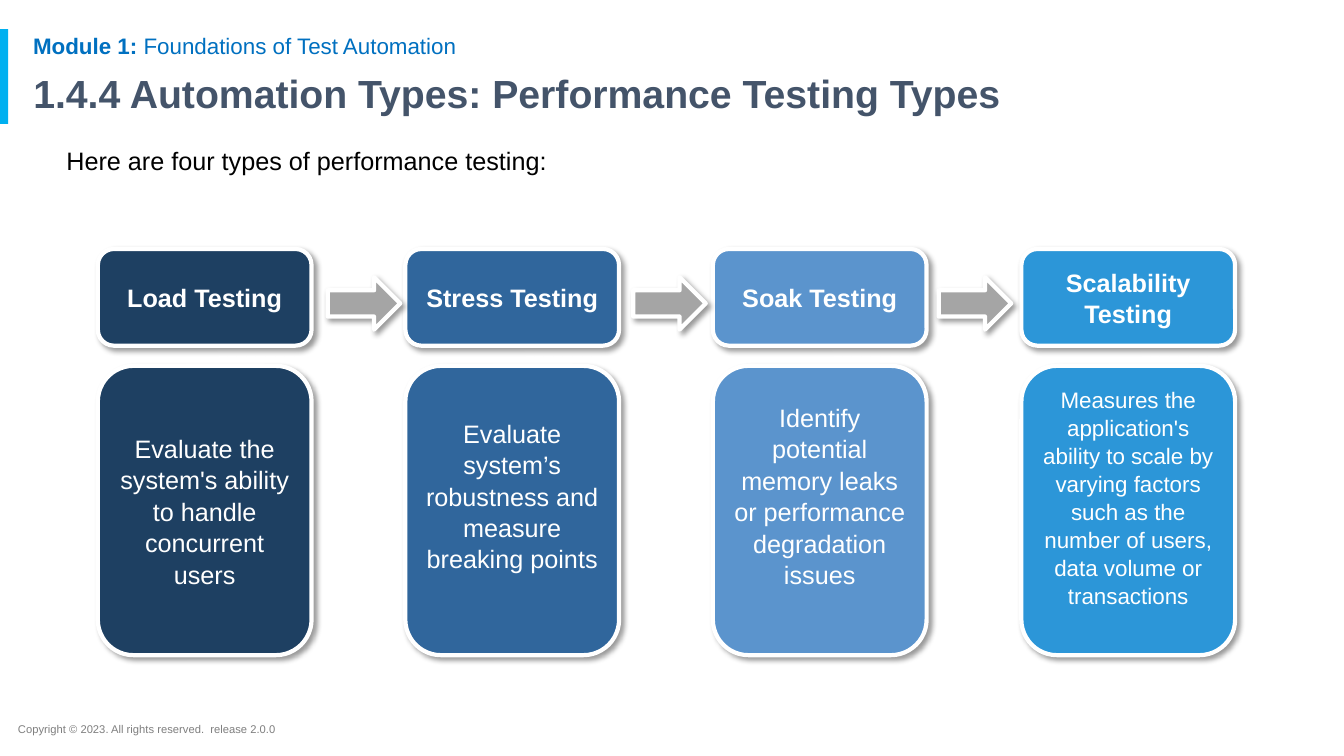
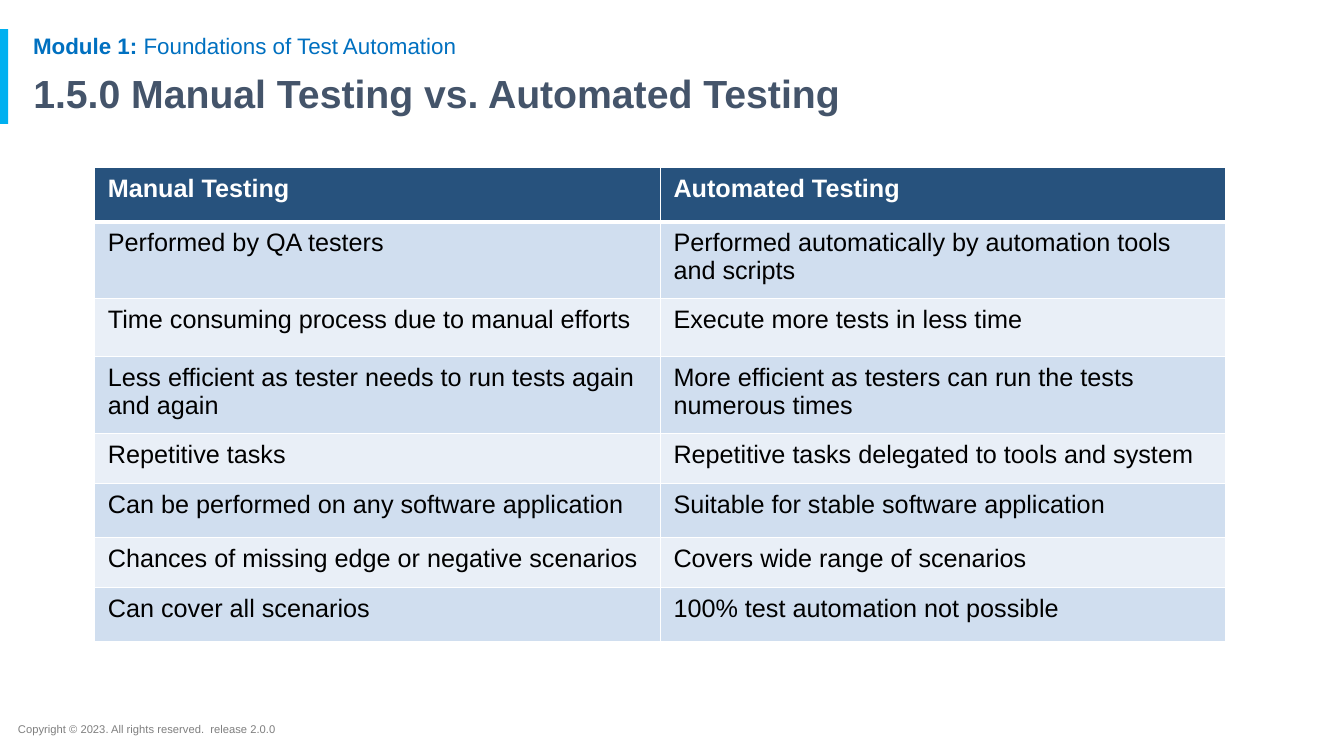
from dataclasses import dataclass
from typing import Any, NamedTuple

from lxml import etree
from pptx import Presentation
from pptx.dml.color import RGBColor
from pptx.enum.shapes import MSO_SHAPE
from pptx.enum.text import MSO_ANCHOR, MSO_AUTO_SIZE, PP_ALIGN
from pptx.oxml.ns import qn
from pptx.util import Emu, Pt

PX = 9144  # one px is a hundredth of an inch
TITLE_ONLY = 5
RECTANGLE, ROUNDED, ARROW = MSO_SHAPE.RECTANGLE, MSO_SHAPE.ROUNDED_RECTANGLE, MSO_SHAPE.RIGHT_ARROW
LEFT, CENTER = PP_ALIGN.LEFT, PP_ALIGN.CENTER
TOP, MIDDLE = MSO_ANCHOR.TOP, MSO_ANCHOR.MIDDLE
NO_FIT = MSO_AUTO_SIZE.NONE


@dataclass(frozen=True)
class Theme:
    font: str = "Arial"
    black: str = "000000"
    white: str = "FFFFFF"
    accent: str = "00B0F0"
    module: str = "0070C0"
    title: str = "44546A"
    footer: str = "7F7F7F"
    arrow: str = "A5A5A5"
    header: str = "27527D"
    bands: tuple[str, str] = ("D0DEEF", "E9EFF7")
    title_size: int = 28
    body_size: int = 18
    small_size: int = 16
    footer_size: int = 8
    thin: int = 1
    thick: int = 3


THEME = Theme()


class Area(NamedTuple):
    left: int
    top: int
    width: int
    height: int


class Span(NamedTuple):
    text: str
    bold: bool = False


class TextStyle(NamedTuple):
    size: int
    color: str
    align: Any = LEFT
    anchor: Any = TOP
    spacing: float = 1.0
    bottom: int = 5


class Card(NamedTuple):
    name: str
    detail: str
    color: str
    size: int = THEME.body_size
    lift: int = 0  # extra bottom inset that raises the detail text


CARDS = [
    Card("Load Testing", "Evaluate the system's ability to handle concurrent users", "1E4062"),
    Card("Stress Testing", "Evaluate system’s robustness and measure breaking points", "30669C", lift=30),
    Card("Soak Testing", "Identify potential memory leaks or performance degradation issues",
         "5B94CD", lift=30),
    Card("Scalability\nTesting", "Measures the application's ability to scale by varying factors "
         "such as the number of users, data volume or transactions",
         "2C96D8", THEME.small_size, 27),
]

COMPARISON = [
    ("Manual Testing", "Automated Testing"),
    ("Performed by QA testers", "Performed automatically by automation tools and scripts"),
    ("Time consuming process due to manual efforts", "Execute more tests in less time"),
    ("Less efficient as tester needs to run tests again and again",
     "More efficient as testers can run the tests numerous times"),
    ("Repetitive tasks", "Repetitive tasks delegated to tools and system"),
    ("Can be performed on any software application", "Suitable for stable software application"),
    ("Chances of missing edge or negative scenarios", "Covers wide range of scenarios"),
    ("Can cover all scenarios", "100% test automation not possible"),
]
ROW_HEIGHTS = [54, 76, 58, 76, 50, 53, 50, 54]


# Text and shape helpers
def emu(area: Area) -> list[Emu]:
    return [Emu(length * PX) for length in area]


def apply(target: Any, values: dict[str, Any]) -> None:
    for name, value in values.items():
        setattr(target, name, value)


def rgb(color: str) -> RGBColor:
    return RGBColor.from_string(color)


def write_paragraph(para: Any, spans: list[Span], style: TextStyle) -> None:
    apply(para, {"alignment": style.align, "line_spacing": style.spacing,
                 "space_before": Pt(0), "space_after": Pt(0)})
    for span in spans:
        run = para.add_run()
        run.text = span.text
        apply(run.font, {"name": THEME.font, "size": Pt(style.size), "bold": span.bold})
        run.font.color.rgb = rgb(style.color)


def write_frame(frame: Any, paragraphs: list[list[Span]], style: TextStyle) -> None:
    apply(frame, {"word_wrap": True, "auto_size": NO_FIT, "vertical_anchor": style.anchor,
                  "margin_left": 10 * PX, "margin_right": 10 * PX,
                  "margin_top": 5 * PX, "margin_bottom": style.bottom * PX})
    for index, spans in enumerate(paragraphs):
        para = frame.add_paragraph() if index else frame.paragraphs[0]
        write_paragraph(para, spans, style)


def add_text(page: Any, area: Area, spans: list[Span], style: TextStyle) -> None:
    box = page.shapes.add_textbox(*emu(area))
    write_frame(box.text_frame, [spans], style)


def add_block(shapes: Any, kind: Any, area: Area, color: str) -> Any:
    block = shapes.add_shape(kind, *emu(area))
    block.shadow.inherit = False
    block.fill.solid()
    block.fill.fore_color.rgb = rgb(color)
    block.line.fill.background()
    return block


def add_raised_block(shapes: Any, kind: Any, area: Area, color: str) -> Any:
    """Add a block with a white outline and a soft shadow to the lower right."""
    block = add_block(shapes, kind, area, color)
    block.line.color.rgb = rgb(THEME.white)
    block.line.width = Pt(THEME.thick)
    effects = block._element.spPr.find(qn("a:effectLst"))
    shadow = etree.SubElement(effects, qn("a:outerShdw"), blurRad=str(Pt(4)), dist=str(Pt(3)),
                              dir=str(45 * 60000), algn="tl", rotWithShape="0")
    tint = etree.SubElement(shadow, qn("a:srgbClr"), val=THEME.black)
    etree.SubElement(tint, qn("a:alpha"), val="40000")
    return block


# Shared page parts
def add_page(deck: Any, title: str) -> Any:
    page = deck.slides.add_slide(deck.slide_layouts[TITLE_ONLY])
    add_block(page.shapes, RECTANGLE, Area(0, 29, 8, 94), THEME.accent)
    add_text(page, Area(8, 712, 713, 24),
             [Span("Copyright © 2023. All rights reserved.  release 2.0.0")],
             TextStyle(THEME.footer_size, THEME.footer))
    add_text(page, Area(23, 30, 1150, 33),
             [Span("Module 1:", True), Span(" Foundations of Test Automation")],
             TextStyle(THEME.small_size, THEME.module, spacing=0.9))
    heading = page.shapes.title
    apply(heading, dict(zip(("left", "top", "width", "height"), emu(Area(23, 69, 1273, 54)))))
    write_frame(heading.text_frame, [[Span(title, True)]],
                TextStyle(THEME.title_size, THEME.title, spacing=0.9))
    return page


# Performance testing types
def add_card(page: Any, left: int, card: Card) -> None:
    group = page.shapes.add_group_shape()
    name_box = add_raised_block(group.shapes, ROUNDED, Area(left, 247, 212, 96), card.color)
    detail_box = add_raised_block(group.shapes, ROUNDED, Area(left, 363, 212, 287), card.color)
    style = TextStyle(THEME.body_size, THEME.white, CENTER, MIDDLE, 1.04)
    write_frame(name_box.text_frame,
                [[Span(line, True)] for line in card.name.split("\n")], style)
    write_frame(detail_box.text_frame, [[Span(card.detail)]],
                style._replace(size=card.size, bottom=5 + card.lift))


def build_types_page(deck: Any) -> None:
    page = add_page(deck, "1.4.4 Automation Types: Performance Testing Types")
    add_text(page, Area(56, 143, 1124, 40), [Span("Here are four types of performance testing:")],
             TextStyle(THEME.body_size, THEME.black, spacing=0.9))
    first, last = 97, 1013
    for index, card in enumerate(CARDS):
        add_card(page, first + index * (last - first) // (len(CARDS) - 1), card)
    for index in range(len(CARDS) - 1):
        add_raised_block(page.shapes, ARROW, Area(325 + index * 303, 275, 72, 52), THEME.arrow)


# Comparison table
def set_borders(cell: Any, widths: dict[str, int]) -> None:
    properties = cell._tc.get_or_add_tcPr()
    for side, width in widths.items():
        line = etree.SubElement(properties, qn(f"a:{side}"), w=str(Pt(width)))
        fill = etree.SubElement(line, qn("a:solidFill"))
        etree.SubElement(fill, qn("a:srgbClr"), val=THEME.white)


def fill_cell(cell: Any, text: str, row: int) -> None:
    is_header = row == 0
    set_borders(cell, {"lnL": THEME.thin, "lnR": THEME.thin,
                       "lnT": THEME.thick if row == 1 else THEME.thin,
                       "lnB": THEME.thick if is_header else THEME.thin})
    cell.fill.solid()
    cell.fill.fore_color.rgb = rgb(THEME.header if is_header else THEME.bands[(row - 1) % 2])
    apply(cell, {"margin_left": 13 * PX, "margin_right": 13 * PX,
                 "margin_top": 7 * PX, "margin_bottom": 7 * PX, "vertical_anchor": TOP})
    write_paragraph(cell.text_frame.paragraphs[0], [Span(text, is_header)],
                    TextStyle(THEME.body_size, THEME.white if is_header else THEME.black))


def build_comparison_page(deck: Any) -> None:
    page = add_page(deck, "1.5.0 Manual Testing vs. Automated Testing")
    area = Area(94, 166, 1122, sum(ROW_HEIGHTS))
    table = page.shapes.add_table(len(COMPARISON), 2, *emu(area)).table
    table.horz_banding = False
    for row, (height, texts) in enumerate(zip(ROW_HEIGHTS, COMPARISON)):
        table.rows[row].height = Emu(height * PX)
        for column, text in enumerate(texts):
            fill_cell(table.cell(row, column), text, row)


def main() -> None:
    deck = Presentation()
    apply(deck, {"slide_width": Emu(1333 * PX), "slide_height": Emu(750 * PX)})
    build_types_page(deck)
    build_comparison_page(deck)
    deck.save("out.pptx")


if __name__ == "__main__":
    main()
